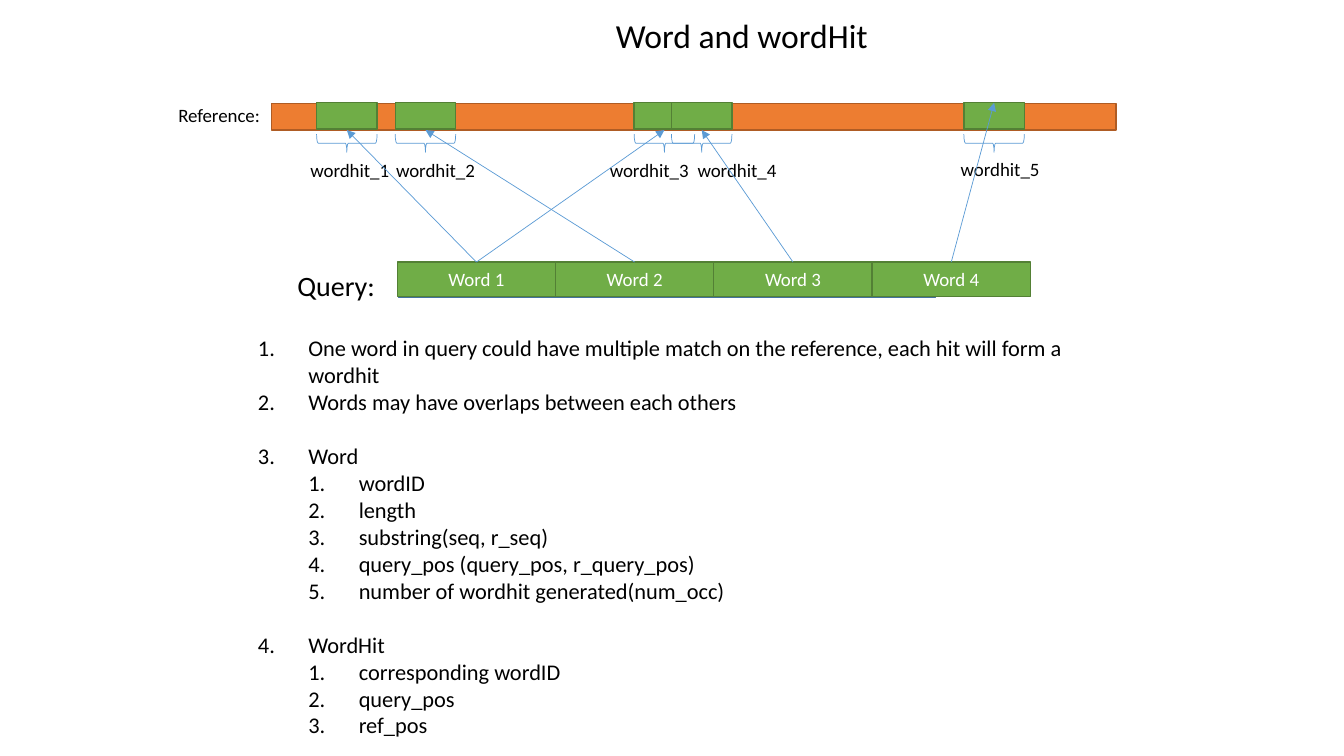
"""Build the slide that explains words and word hits."""
from typing import NamedTuple

from lxml import etree
from pptx import Presentation
from pptx.dml.color import RGBColor
from pptx.enum import shapes, text
from pptx.oxml import ns
from pptx.util import Inches, Pt

FONT = "Calibri"
BLACK, WHITE = "000000", "FFFFFF"
GREEN, DARK_GREEN = "70AD47", "538035"
ORANGE, DARK_ORANGE = "ED7D31", "AF5C24"
BLUE, DARK_BLUE = "5B9BD5", "43739E"
SMALL = 13.5


class Hit(NamedTuple):
    """A word hit on the reference, with its label and the word it comes from."""
    left: float
    label_left: float
    word: int
    label_top: float = 1.52
    tip: float = 1.29


class Bar(NamedTuple):
    """A rectangle in inches."""
    left: float
    top: float
    width: float
    height: float


class Item(NamedTuple):
    """A numbered line of the explanation."""
    wording: str
    level: int = 0
    before: float = 0


HITS = [
    Hit(3.14, 2.98, 0),
    Hit(3.92, 3.83, 1),
    Hit(6.29, 5.95, 0),
    Hit(6.66, 6.82, 2),
    Hit(9.56, 9.43, 3, 1.51, 1.02),
]
HIT_WIDTH = 0.6
BRACE_DEPTH = 0.18
WORDS = [Bar(3.94 + 1.57 * i, 2.6, 1.57, 0.34) for i in range(4)]
LINE_GAP = 19.5
ITEMS = [
    Item("One word in query could have multiple match on the reference, "
         "each hit will form a wordhit"),
    Item("Words may have overlaps between each others"),
    Item("Word", before=LINE_GAP),
    Item("wordID", 1),
    Item("length", 1),
    Item("substring(seq, r_seq)", 1),
    Item("query_pos (query_pos, r_query_pos)", 1),
    Item("number of wordhit generated(num_occ)", 1),
    Item("WordHit", before=LINE_GAP),
    Item("corresponding wordID", 1),
    Item("query_pos", 1),
    Item("ref_pos", 1),
]


def colour(value: str) -> RGBColor:
    """Turn a hex string into a colour."""
    return RGBColor.from_string(value)


def add_run(paragraph, wording: str, size: float, ink: str = BLACK) -> None:
    """Add one formatted run to a paragraph."""
    run = paragraph.add_run()
    run.text = wording
    run.font.name = FONT
    run.font.size = Pt(size)
    run.font.color.rgb = colour(ink)


def add_bar(slide, bar: Bar, fill: str, edge: str, wording: str = "") -> None:
    """Draw a filled rectangle, with centred white wording if there is any."""
    rect = slide.shapes.add_shape(shapes.MSO_SHAPE.RECTANGLE, *map(Inches, bar))
    rect.shadow.inherit = False
    rect.fill.solid()
    rect.fill.fore_color.rgb = colour(fill)
    rect.line.color.rgb = colour(edge)
    rect.line.width = Pt(1)
    if wording:
        rect.text_frame.vertical_anchor = text.MSO_ANCHOR.MIDDLE
        paragraph = rect.text_frame.paragraphs[0]
        paragraph.alignment = text.PP_ALIGN.CENTER
        add_run(paragraph, wording, SMALL, WHITE)


def add_label(slide, box: Bar, wording: str, size: float = SMALL) -> None:
    """Write one unwrapped line of text."""
    frame = slide.shapes.add_textbox(*map(Inches, box)).text_frame
    frame.word_wrap = False
    frame.auto_size = text.MSO_AUTO_SIZE.SHAPE_TO_FIT_TEXT
    add_run(frame.paragraphs[0], wording, size)


def add_brace(slide, centre: float) -> None:
    """Draw a brace that opens upwards below a hit."""
    brace = slide.shapes.add_shape(
        shapes.MSO_SHAPE.LEFT_BRACE, Inches(centre - BRACE_DEPTH / 2), Inches(1.12),
        Inches(BRACE_DEPTH), Inches(HIT_WIDTH))
    brace.rotation = 270
    brace.shadow.inherit = False
    brace.fill.background()
    brace.line.color.rgb = colour(BLUE)
    brace.line.width = Pt(0.5)


def add_arrow(slide, word: Bar, centre: float, tip: float) -> None:
    """Draw an arrow from a query word to its hit."""
    arrow = slide.shapes.add_connector(
        shapes.MSO_CONNECTOR.STRAIGHT, Inches(word.left + word.width / 2),
        Inches(word.top), Inches(centre), Inches(tip))
    arrow.line.color.rgb = colour(BLUE)
    arrow.line.width = Pt(0.5)
    etree.SubElement(arrow.line._get_or_add_ln(), ns.qn("a:tailEnd"), type="triangle")
    etree.SubElement(arrow._element.spPr, ns.qn("a:effectLst"))


def add_explanation(slide, box: Bar, items: list[Item]) -> None:
    """Write the numbered list on two levels."""
    frame = slide.shapes.add_textbox(*map(Inches, box)).text_frame
    frame.word_wrap = True
    frame.auto_size = text.MSO_AUTO_SIZE.SHAPE_TO_FIT_TEXT
    for index, item in enumerate(items):
        paragraph = frame.add_paragraph() if index else frame.paragraphs[0]
        paragraph.level = item.level
        paragraph.space_before = Pt(item.before)
        properties = paragraph._p.get_or_add_pPr()
        properties.set("marL", str(Inches(0.5 * (item.level + 1))))
        properties.set("indent", str(Inches(-0.5)))
        etree.SubElement(properties, ns.qn("a:buFont"), typeface="+mj-lt")
        etree.SubElement(properties, ns.qn("a:buAutoNum"), type="arabicPeriod")
        add_run(paragraph, item.wording, 16)


def main() -> None:
    """Build and save the slide."""
    deck = Presentation()
    deck.slide_width, deck.slide_height = Inches(13.33), Inches(7.5)
    slide = deck.slides.add_slide(deck.slide_layouts[6])

    add_label(slide, Bar(6.01, 0.1, 2.73, 0.5), "Word and wordHit", 24)
    add_label(slide, Bar(1.67, 0.98, 1.03, 0.33), "Reference:")
    add_bar(slide, Bar(2.69, 1.03, 8.38, 0.26), ORANGE, DARK_ORANGE)
    for number, hit in enumerate(HITS, 1):
        add_bar(slide, Bar(hit.left, 1.02, HIT_WIDTH, 0.26), GREEN, DARK_GREEN)
        add_brace(slide, hit.left + HIT_WIDTH / 2)
        add_label(slide, Bar(hit.label_left, hit.label_top, 1, 0.33), f"wordhit_{number}")

    add_explanation(slide, Bar(2.46, 3.27, 8.72, 4.41), ITEMS)

    add_label(slide, Bar(2.85, 2.61, 0.98, 0.44), "Query:", 20)
    add_bar(slide, Bar(3.95, 2.61, 5.33, 0.34), BLUE, DARK_BLUE)
    for number, word in enumerate(WORDS, 1):
        add_bar(slide, word, GREEN, DARK_GREEN, f"Word {number}")
    for hit in HITS:
        add_arrow(slide, WORDS[hit.word], hit.left + HIT_WIDTH / 2, hit.tip)

    deck.save("out.pptx")


main()
